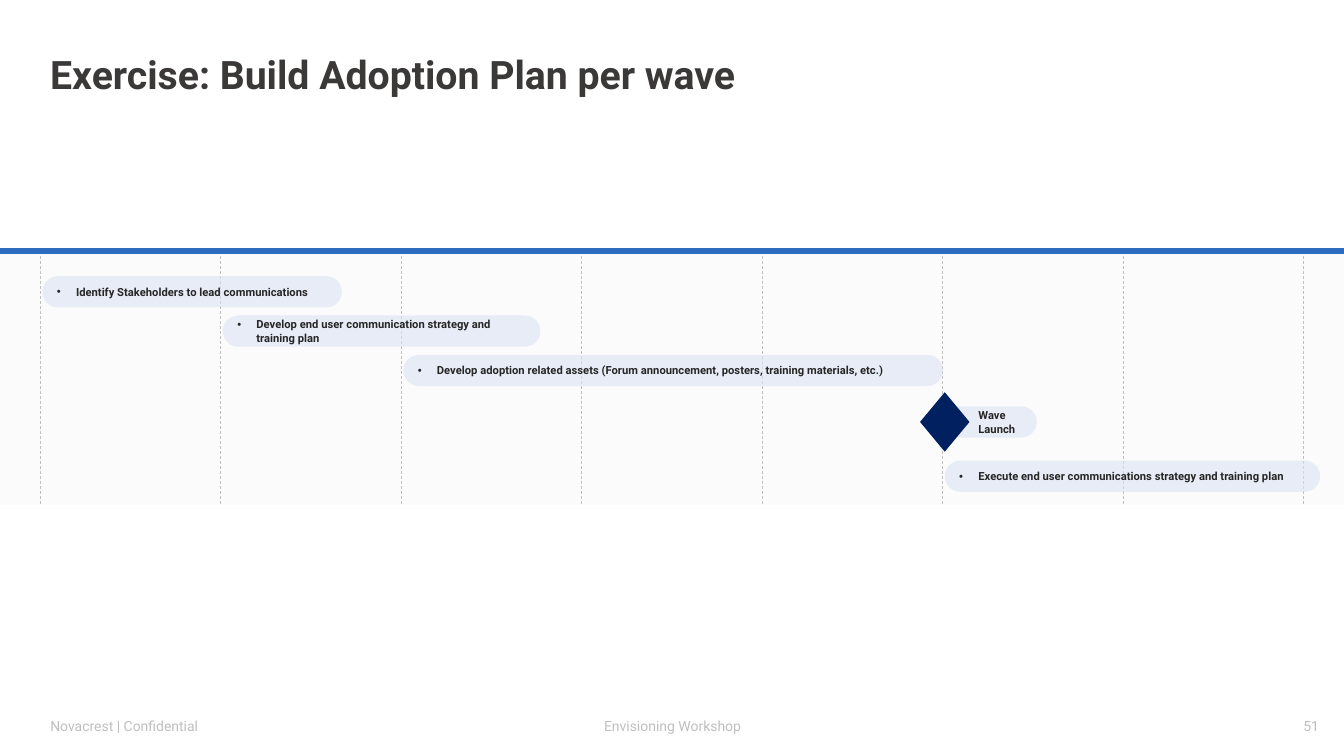
from pptx import Presentation
from pptx.dml.color import RGBColor
from pptx.enum.dml import MSO_LINE
from pptx.enum.shapes import MSO_CONNECTOR, MSO_SHAPE
from pptx.enum.text import MSO_ANCHOR, PP_ALIGN
from pptx.oxml.ns import qn
from pptx.util import Inches, Pt
from lxml.etree import SubElement

SLIDE_WIDTH, SLIDE_HEIGHT = 13.33, 7.5
COLUMNS = 8
COLUMN_LEFT, COLUMN_STEP = 0.4, 1.79
ROW_TOP, ROW_STEP = 2.74, 0.39
RAIL_TOP, BAND_HEIGHT = 2.49, 2.52
BAR_HEIGHT, BAR_GAP = 0.31, 0.02
FOOTER_TOP, FOOTER_HEIGHT = 7.07, 0.4
INDENT = 0.19

# label, first column, row, width in columns, bulleted
TASKS = [
    ("Identify Stakeholders to lead communications", 0, 0, 1.66, True),
    ("Develop end user communication strategy and training plan", 1, 1, 1.76, True),
    ("Develop adoption related assets (Forum announcement, posters, "
     "training materials, etc.)", 2, 2, 2.99, True),
    ("Wave Launch", 5, 3.31, 0.51, False),
    ("Execute end user communications strategy and training plan", 5, 4.69, 2.08, True),
]
FOOTERS = [
    ("Novacrest | Confidential", 0.4, 3.52, PP_ALIGN.LEFT),
    ("Envisioning Workshop", 4.42, 4.5, PP_ALIGN.CENTER),
    ("51", 9.42, 3.76, PP_ALIGN.RIGHT),
]


def color(value):
    return RGBColor.from_string(value)


def column(number):
    return COLUMN_LEFT + number * COLUMN_STEP


def row(number):
    return ROW_TOP + number * ROW_STEP


class TimelineSlide:
    title = {"size": Pt(28), "bold": True, "name": "Roboto"}
    label = {"size": Pt(8), "bold": True, "name": "Roboto"}
    footer = {"size": Pt(10), "bold": False, "name": "Roboto"}

    def __init__(self, deck):
        self.page = deck.slides.add_slide(deck.slide_layouts[6])

    def fill_text(self, box, text, style, ink, align=PP_ALIGN.LEFT,
                  anchor=MSO_ANCHOR.MIDDLE, indent=0, bullet=False):
        frame = box.text_frame
        frame.word_wrap = True
        frame.vertical_anchor = anchor
        para = frame.paragraphs[0]
        para.alignment = align
        if indent:
            properties = para._p.get_or_add_pPr()
            properties.set("marL", str(Inches(indent)))
            if bullet:
                properties.set("indent", str(-Inches(indent)))
                SubElement(properties, qn("a:buFont"), typeface="Arial")
                SubElement(properties, qn("a:buChar"), char="•")
        span = para.add_run()
        span.text = text
        for name, value in style.items():
            setattr(span.font, name, value)
        span.font.color.rgb = color(ink)

    def text(self, left, top, width, height, *content, **layout):
        box = self.page.shapes.add_textbox(*map(Inches, (left, top, width, height)))
        self.fill_text(box, *content, **layout)

    def shape(self, kind, left, top, width, height, fill, opacity=100):
        shape = self.page.shapes.add_shape(
            kind, *map(Inches, (left, top, width, height)))
        shape.shadow.inherit = False
        shape.line.fill.background()
        shape.fill.solid()
        shape.fill.fore_color.rgb = color(fill)
        if opacity < 100:
            tint = shape._element.spPr.find(qn("a:solidFill"))[0]
            SubElement(tint, qn("a:alpha"), val=str(opacity * 1000))
        return shape

    def line(self, x1, y1, x2, y2, ink, weight, dash=None):
        line = self.page.shapes.add_connector(
            MSO_CONNECTOR.STRAIGHT, *map(Inches, (x1, y1, x2, y2)))
        line.line.color.rgb = color(ink)
        line.line.width = Pt(weight)
        if dash:
            line.line.dash_style = dash
        SubElement(line._element.spPr, qn("a:effectLst"))

    def task(self, label, first_column, row_number, span, bullet):
        bar = self.shape(MSO_SHAPE.ROUNDED_RECTANGLE, column(first_column) + BAR_GAP,
                         row(row_number), span * COLUMN_STEP, BAR_HEIGHT, "DAE3F3", 60)
        bar.adjustments[0] = 0.5
        self.fill_text(bar, label, self.label, "262626", indent=INDENT, bullet=bullet)

    def milestone(self, column_number, row_number, width, height):
        """Centre a diamond on the start of a task bar."""
        self.shape(MSO_SHAPE.FLOWCHART_DECISION,
                   column(column_number) + BAR_GAP - width / 2,
                   row(row_number) + (BAR_HEIGHT - height) / 2, width, height, "002060")


def main():
    deck = Presentation()
    deck.slide_width, deck.slide_height = Inches(SLIDE_WIDTH), Inches(SLIDE_HEIGHT)
    slide = TimelineSlide(deck)

    slide.shape(MSO_SHAPE.RECTANGLE, 0, RAIL_TOP, SLIDE_WIDTH, BAND_HEIGHT, "F2F2F2", 28)
    for number in range(COLUMNS):
        x = column(number)
        slide.line(x, RAIL_TOP, x, RAIL_TOP + BAND_HEIGHT, "BFBFBF", 0.5, MSO_LINE.DASH)
    slide.line(0, RAIL_TOP, SLIDE_WIDTH, RAIL_TOP, "2E6CC0", 4.5)

    slide.text(COLUMN_LEFT, 0.37, 12.47, 0.73,
               "Exercise: Build Adoption Plan per wave", slide.title, "3B3838")
    for text, left, width, align in FOOTERS:
        slide.text(left, FOOTER_TOP, width, FOOTER_HEIGHT, text, slide.footer, "BFBFBF",
                   align=align, anchor=MSO_ANCHOR.TOP)

    for task in TASKS:
        slide.task(*task)
    slide.milestone(5, 3.31, 0.49, 0.59)

    deck.save("out.pptx")


if __name__ == "__main__":
    main()
